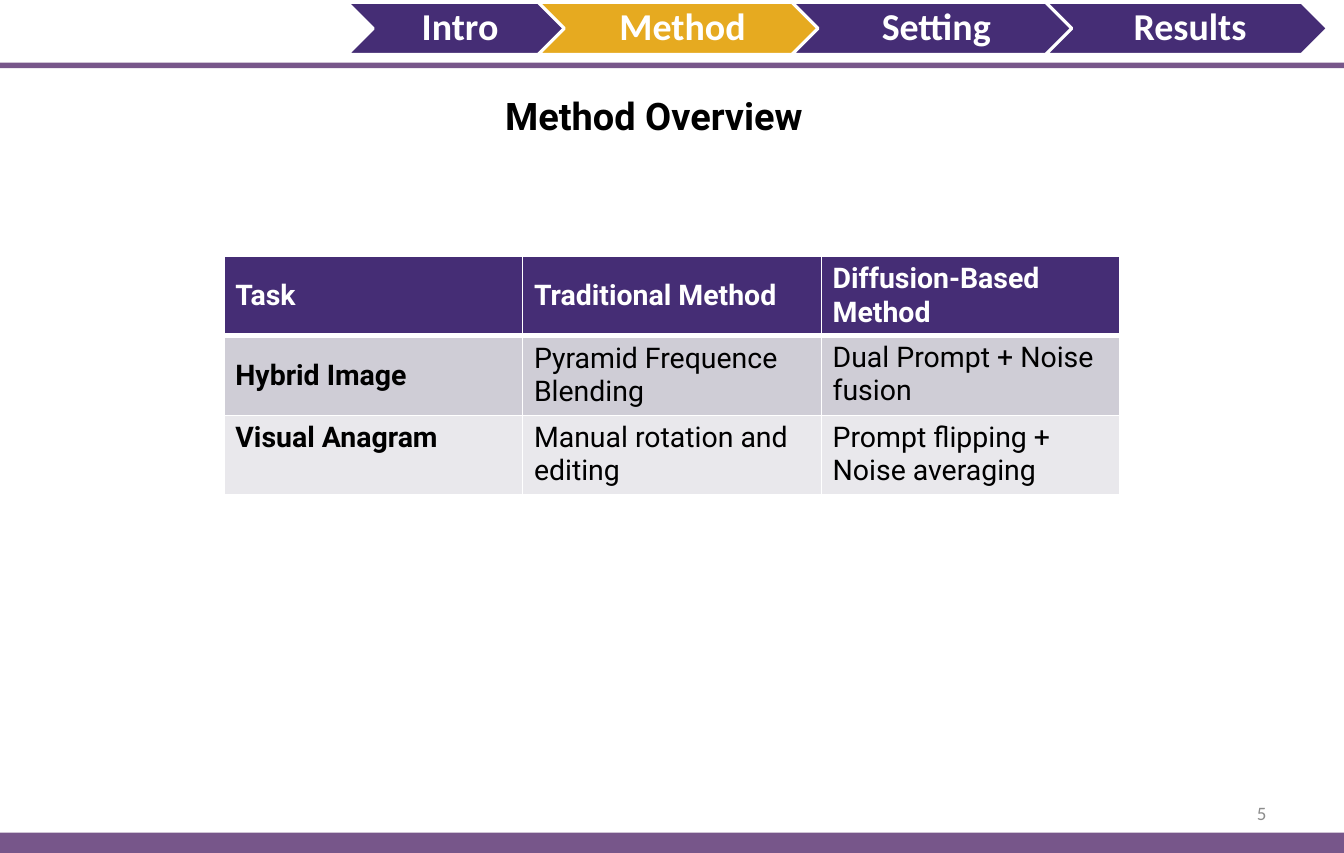
import pptx
import pptx.dml.color
import pptx.enum.shapes
import pptx.enum.text
import pptx.oxml
import pptx.oxml.ns
import pptx.util
from pptx.util import Inches

COLORS = {
    "purple": "452D75",
    "mauve": "77568A",
    "gold": "E6AA20",
    "white": "FFFFFF",
    "black": "000000",
    "gray": "8C8C8C",
    "band_dark": "CFCDD6",
    "band_light": "E9E8EC",
}
SHAPE = pptx.enum.shapes.MSO_SHAPE
ALIGN = pptx.enum.text.PP_ALIGN
ANCHOR = pptx.enum.text.MSO_ANCHOR

PAGE_WIDTH = 189 / 16
PAGE_HEIGHT = 7.5

SECTIONS = [("Intro", 1.93), ("Method", 2.48), ("Setting", 2.48), ("Results", 2.48)]
CURRENT_SECTION = "Method"
CHEVRON_OVERLAP = 0.25

METHODS = [
    ["Task", "Traditional Method", "Diffusion-Based Method"],
    ["Hybrid Image", "Pyramid Frequence Blending", "Dual Prompt + Noise fusion"],
    ["Visual Anagram", "Manual rotation and editing", "Prompt flipping + Noise averaging"],
]
ROW_FILLS = ["purple", "band_dark", "band_light"]
MIDDLE_CELLS = {(0, 0), (0, 1), (0, 2), (1, 0), (1, 1)}


def rgb(name):
    return pptx.dml.color.RGBColor.from_string(COLORS[name])


def write(frame, text, font, size, color, bold=False, align=ALIGN.LEFT):
    frame.text = text
    para = frame.paragraphs[0]
    para.alignment = align
    para.font.name = font
    para.font.size = pptx.util.Pt(size)
    para.font.bold = bold
    para.font.color.rgb = rgb(color)
    return para


def add_filled_shape(page, kind, left, top, width, height, color):
    shape = page.shapes.add_shape(
        kind, Inches(left), Inches(top), Inches(width), Inches(height))
    shape.shadow.inherit = False
    shape.fill.solid()
    shape.fill.fore_color.rgb = rgb(color)
    shape.line.fill.background()
    return shape


def add_section_chevron(page, label, left, width):
    color = "gold" if label == CURRENT_SECTION else "purple"
    chevron = add_filled_shape(page, SHAPE.CHEVRON, left, 0.02, width, 0.46, color)
    chevron.line.color.rgb = rgb("white")
    chevron.line.width = pptx.util.Pt(2)
    frame = chevron.text_frame
    frame.vertical_anchor = ANCHOR.MIDDLE
    frame.margin_left = Inches(0.1)
    frame.margin_right = frame.margin_top = frame.margin_bottom = Inches(0.04)
    para = write(frame, label, "Calibri", 24, "white", True, ALIGN.CENTER)
    para.line_spacing = 0.9


def add_navigation(page):
    left = 3.05
    for label, width in SECTIONS:
        add_section_chevron(page, label, left, width)
        left += width - CHEVRON_OVERLAP


def set_title(page, text):
    title = page.shapes.title
    title.left, title.top = Inches(4.34), Inches(0.76)
    title.width, title.height = Inches(3.14), Inches(0.5)
    frame = title.text_frame
    frame.auto_size = pptx.enum.text.MSO_AUTO_SIZE.NONE
    frame.vertical_anchor = ANCHOR.TOP
    write(frame, text, "Roboto", 24, "black", True)


def set_cell_borders(cell, bottom_points):
    properties = cell._tc.get_or_add_tcPr()
    for side, points in (("L", 1), ("R", 1), ("T", 1), ("B", bottom_points)):
        properties.append(pptx.oxml.parse_xml(
            f'<a:ln{side} {pptx.oxml.ns.nsdecls("a")} w="{pptx.util.Pt(points)}">'
            f'<a:solidFill><a:srgbClr val="{COLORS["white"]}"/></a:solidFill>'
            f'</a:ln{side}>'))


def add_method_table(page):
    table = page.shapes.add_table(
        len(METHODS), len(METHODS[0]),
        Inches(PAGE_WIDTH / 6), Inches(2.25),
        Inches(PAGE_WIDTH * 2 / 3), Inches(2.1)).table
    for row, texts in enumerate(METHODS):
        for column, text in enumerate(texts):
            cell = table.cell(row, column)
            set_cell_borders(cell, 3 if row == 0 else 1)
            cell.fill.solid()
            cell.fill.fore_color.rgb = rgb(ROW_FILLS[row])
            if (row, column) in MIDDLE_CELLS:
                cell.vertical_anchor = ANCHOR.MIDDLE
            write(cell.text_frame, text, "Roboto", 18,
                  "white" if row == 0 else "black", row == 0 or column == 0)


def add_page_number(page, number):
    box = page.shapes.add_textbox(Inches(8.47), Inches(6.95), Inches(2.76), Inches(0.4))
    frame = box.text_frame
    frame.word_wrap = True
    frame.vertical_anchor = ANCHOR.MIDDLE
    write(frame, number, "Calibri", 12, "gray", align=ALIGN.RIGHT)


def main():
    deck = pptx.Presentation()
    deck.slide_width, deck.slide_height = Inches(PAGE_WIDTH), Inches(PAGE_HEIGHT)
    page = deck.slides.add_slide(deck.slide_layouts.get_by_name("Title Only"))
    for top, height in ((0.55, 0.05), (7.32, 0.21)):
        add_filled_shape(page, SHAPE.RECTANGLE, 0, top, PAGE_WIDTH, height, "mauve")
    add_page_number(page, "5")
    add_navigation(page)
    set_title(page, "Method Overview")
    add_method_table(page)
    deck.save("out.pptx")


if __name__ == "__main__":
    main()
